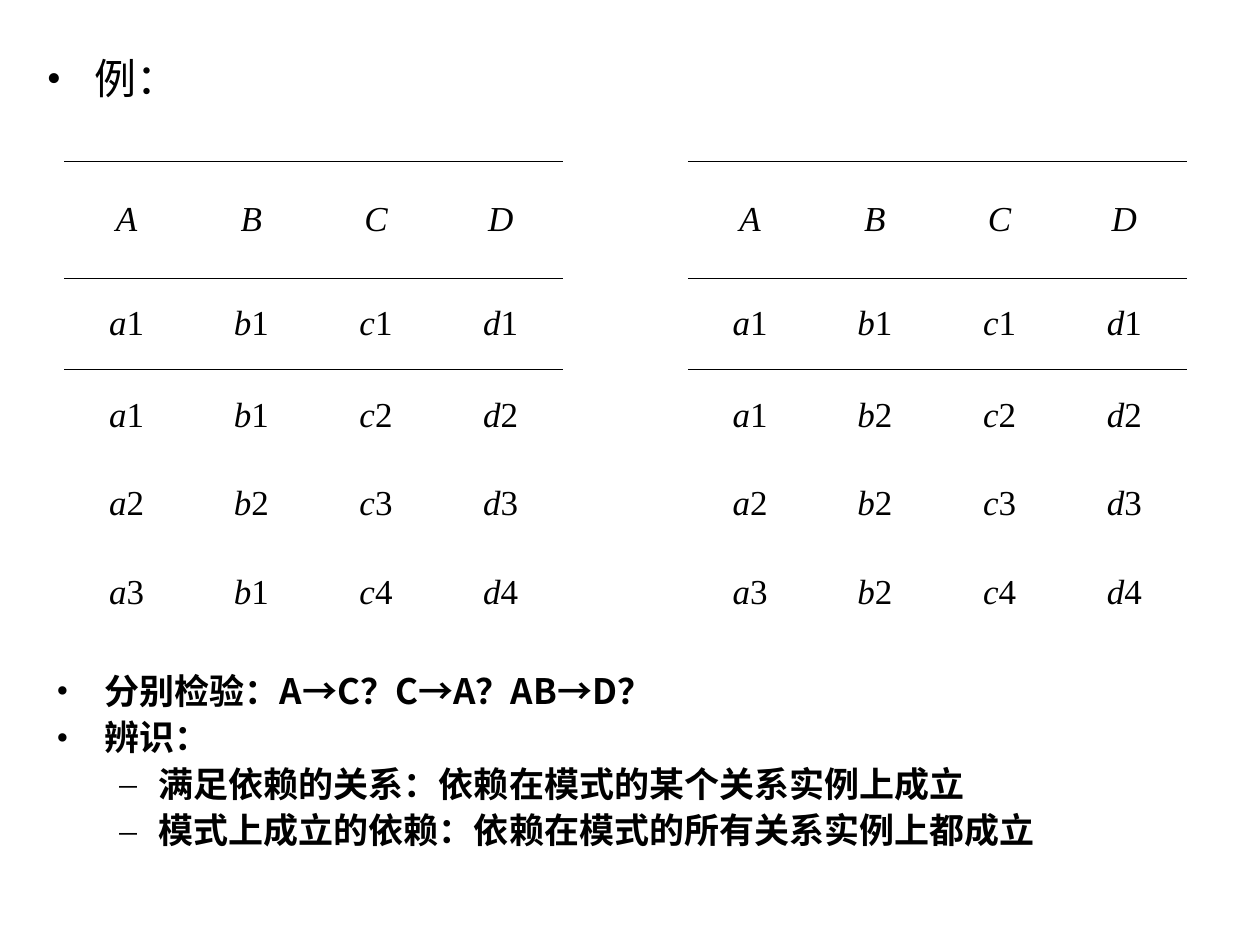
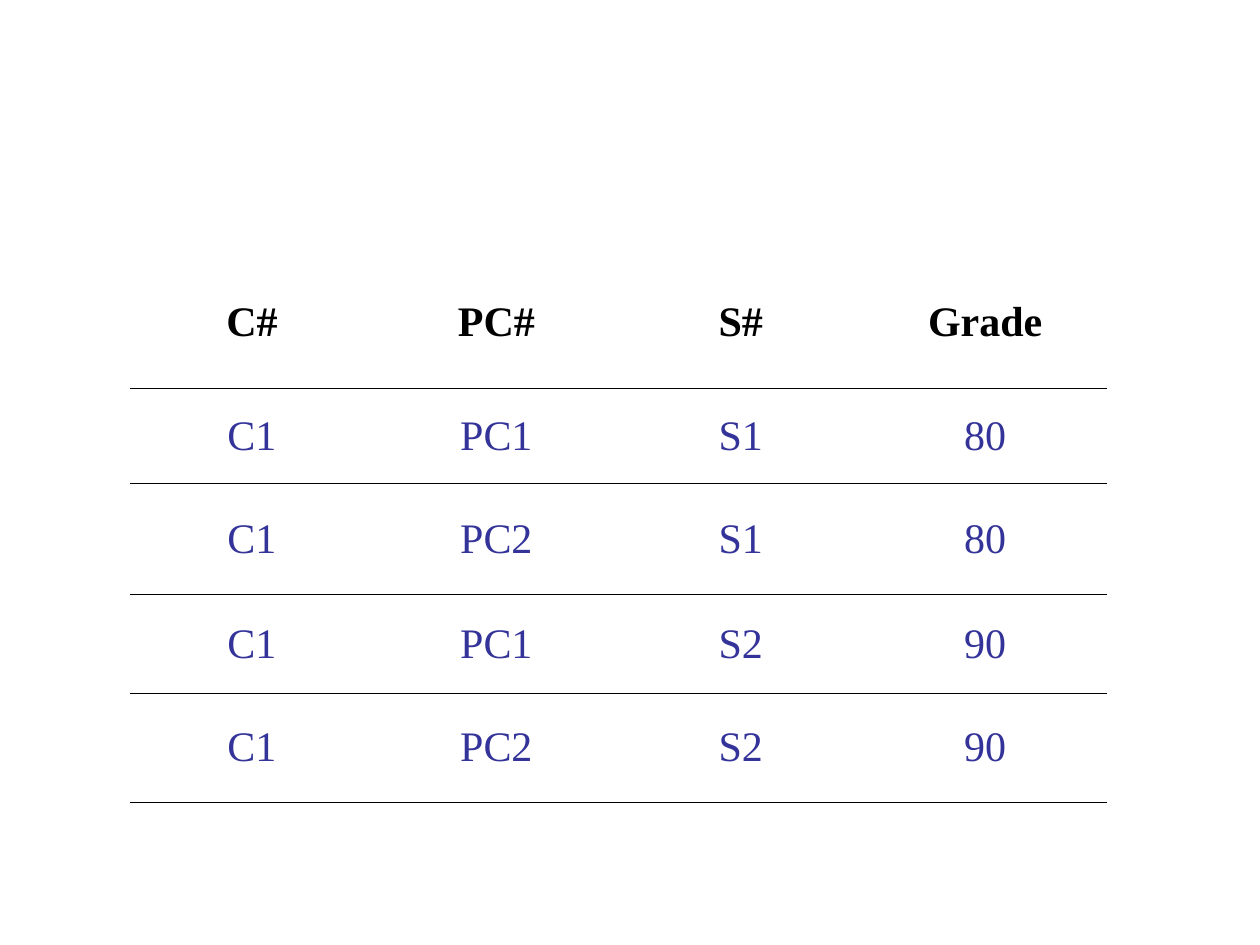
from lxml import etree
from pptx import Presentation
from pptx.dml.color import RGBColor as RGB
from pptx.enum.text import MSO_ANCHOR as Anchor, MSO_AUTO_SIZE as Fit, PP_ALIGN as Align
from pptx.oxml.ns import qn
from pptx.util import Inches, Pt

HEX = {"ink": "000000", "blue": "333399"}
SERIF, HAN = "Times New Roman", "Noto Sans CJK SC"
PLAIN = "{2D5ABB26-0587-4C30-8999-92F81FD0307C}"  # table style without fill or grid


def add_run(para, text, face, size, color="ink", bold=False, italic=False):
    run = para.add_run()
    run.text = text
    font = run.font
    font.name, font.size = face, Pt(size)
    font.bold, font.italic = bold, italic
    font.color.rgb = RGB.from_string(HEX[color])
    etree.SubElement(run._r.get_or_add_rPr(), qn("a:ea"), typeface=face)


def add_mark(para, mark, left, hang):
    """Give a paragraph a bullet with a hanging indent."""
    props = para._p.get_or_add_pPr()
    props.set("marL", str(Inches(left)))
    props.set("indent", str(-Inches(hang)))
    tint = etree.SubElement(props, qn("a:buClr"))
    etree.SubElement(tint, qn("a:srgbClr"), val=HEX["ink"])
    etree.SubElement(props, qn("a:buFont"), typeface=SERIF)
    etree.SubElement(props, qn("a:buChar"), char=mark)


deck = Presentation()
deck.slide_width, deck.slide_height = Inches(10), Inches(7.5)

# Slide 1: two instances of one schema, side by side
first = deck.slides.add_slide(deck.slide_layouts[1])
title = first.shapes.title._element
title.getparent().remove(title)
body = first.placeholders[1]
body.left, body.top = Inches(0.27), Inches(0.37)
body.width, body.height = Inches(4.41), Inches(4.96)
body.text_frame.auto_size = Fit.NONE
para = body.text_frame.paragraphs[0]
add_mark(para, "•", 0.38, 0.38)
para.space_before = Pt(0)
add_run(para, "例：", HAN, 24)

notes = first.shapes.add_textbox(Inches(0.35), Inches(5.3), Inches(9), Inches(2.15))
frame = notes.text_frame
frame.word_wrap = True
points = [
    (0, "分别检验：A→C？C→A？AB→D？"),
    (0, "辨识："),
    (1, "满足依赖的关系：依赖在模式的某个关系实例上成立"),
    (1, "模式上成立的依赖：依赖在模式的所有关系实例上都成立"),
]
marks = [("•", 0.38, 0.38), ("–", 0.81, 0.31)]
for i, (level, text) in enumerate(points):
    para = frame.paragraphs[0] if i == 0 else frame.add_paragraph()
    add_mark(para, *marks[level])
    para.level = level
    para.line_spacing = 0.9
    para.space_before = Pt(5 if i else 0)
    add_run(para, text, HAN, 20, bold=True)

# Slide 2: course grades
second = deck.slides.add_slide(deck.slide_layouts[6])

pairs = [
    "A B C D - A B C D",
    "a1 b1 c1 d1 - a1 b1 c1 d1",
    "a1 b1 c2 d2 - a1 b2 c2 d2",
    "a2 b2 c3 d3 - a2 b2 c3 d3",
    "a3 b1 c4 d4 - a3 b2 c4 d4",
]
grades = ["C# PC# S# Grade", "C1 PC1 S1 80", "C1 PC2 S1 80", "C1 PC1 S2 90", "C1 PC2 S2 90"]
# slide, rows, left, top, column width, row heights, rules as (row, edge)
tables = [
    (first, pairs, 0.51, 1.28, 0.99, [0.93, 0.72, 0.73, 0.68, 0.72],
     [(0, "lnT"), (0, "lnB"), (1, "lnT")]),
    (second, grades, 1.03, 2.04, 1.94, [1.04, 0.76, 0.88, 0.78, 0.87],
     [(r, "lnB") for r in range(5)]),
]

for slide, lines, left, top, wide, highs, rules in tables:
    rows = [line.split() for line in lines]
    count = len(rows[0])
    shape = slide.shapes.add_table(len(rows), count, Inches(left), Inches(top),
                                   Inches(wide * count), Inches(sum(highs)))
    grid = shape.table
    grid.first_row = grid.horz_banding = False
    grid._tbl.tblPr.find(qn("a:tableStyleId")).text = PLAIN
    for col in grid.columns:
        col.width = Inches(wide)
    for r, (row, high) in enumerate(zip(rows, highs)):
        grid.rows[r].height = Inches(high)
        for c, text in enumerate(row):
            cell = grid.cell(r, c)
            cell.vertical_anchor = Anchor.MIDDLE
            if text == "-":
                cell.fill.background()
                continue
            for edge in ("lnT", "lnB"):
                if (r, edge) in rules:
                    rule = etree.SubElement(cell._tc.tcPr, qn("a:" + edge), w=str(Pt(0.45)))
                    fill = etree.SubElement(rule, qn("a:solidFill"))
                    etree.SubElement(fill, qn("a:srgbClr"), val=HEX["ink"])
            cell.fill.background()
            para = cell.text_frame.paragraphs[0]
            para.alignment = Align.CENTER
            if slide is first:
                add_run(para, text[0], SERIF, 20, italic=True)
                if r:
                    add_run(para, text[1], SERIF, 20)
            else:
                add_run(para, text, SERIF, 24, "blue" if r else "ink", bold=r == 0)

deck.save("out.pptx")
